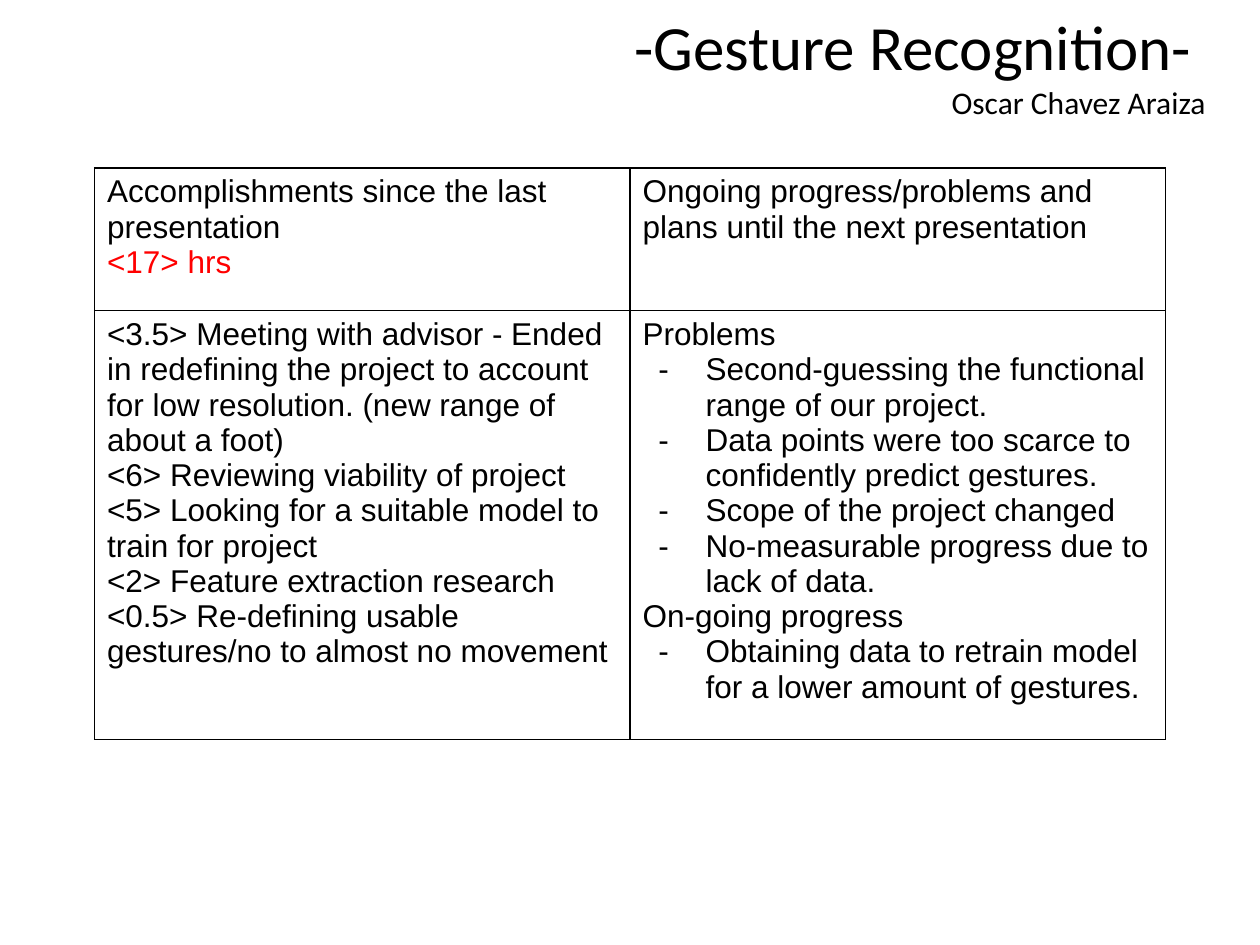
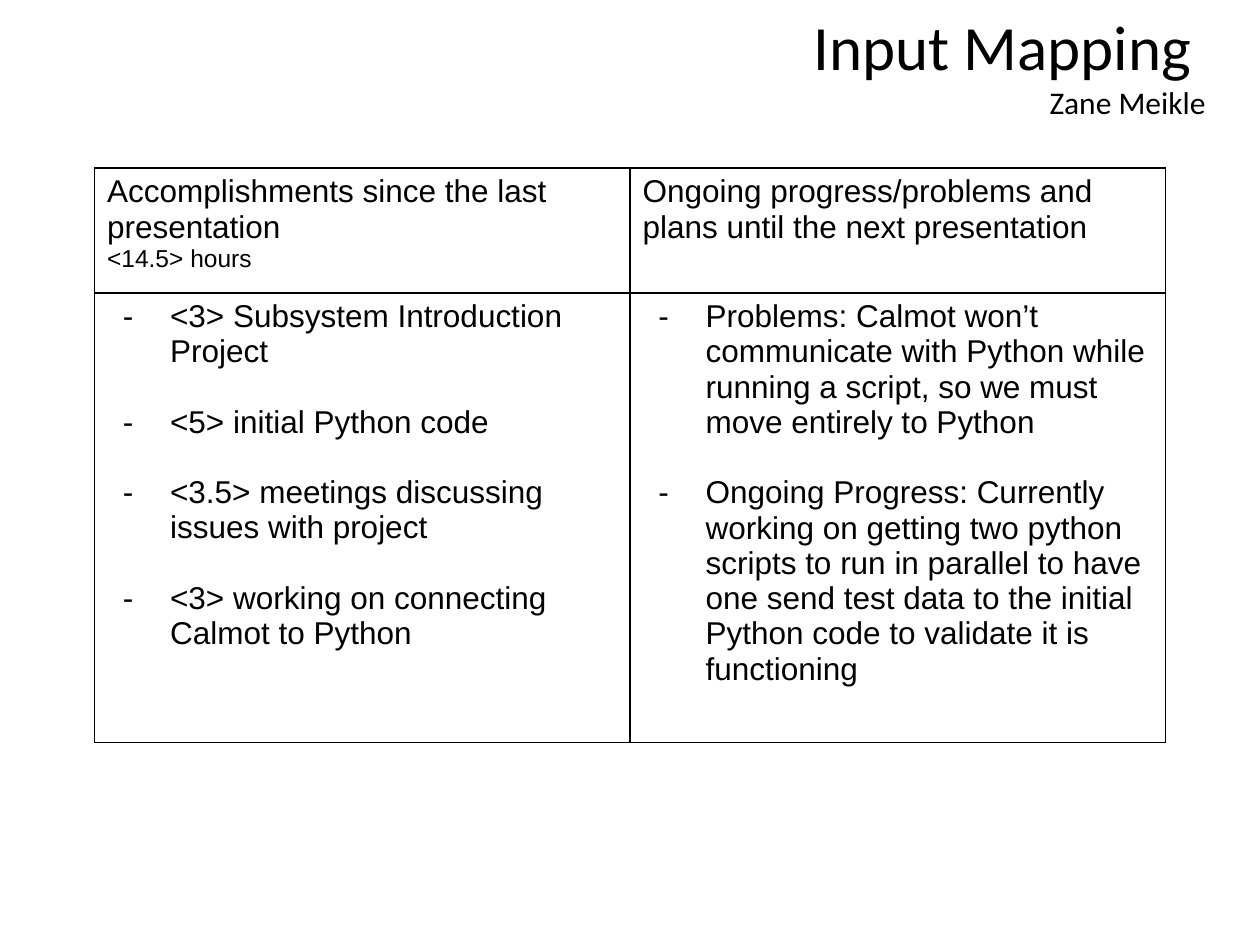
from lxml.etree import SubElement
from pptx import Presentation
from pptx.dml.color import RGBColor
from pptx.enum.text import PP_ALIGN as Align
from pptx.oxml.ns import qn
from pptx.util import Pt

BLACK = RGBColor(0x00, 0x00, 0x00)
RED = RGBColor(0xFF, 0x00, 0x00)

# Text formats
TITLE = {"name": "Calibri", "size": Pt(36)}
AUTHOR = {"name": "Calibri", "size": Pt(18)}
BODY = {"name": "Arial", "size": Pt(18)}
SMALL = {"name": "Arial", "size": Pt(14)}

# Content: a leading "- " marks a bullet
DONE = "Accomplishments since the last presentation"
NEXT = "Ongoing progress/problems and plans until the next presentation"

REPORTS = [
    {
        "title": "-Gesture Recognition- ",
        "author": "Oscar Chavez Araiza",
        "hours": ("<17> hrs", BODY, RED),
        "row_heights": (81.5, 245),
        "bullet_gap": 0,
        "accomplishments": [
            "<3.5> Meeting with advisor - Ended in redefining the project to "
            "account for low resolution. (new range of about a foot)",
            "<6> Reviewing viability of project",
            "<5> Looking for a suitable model to train for project",
            "<2> Feature extraction research",
            "<0.5> Re-defining usable gestures/no to almost no movement",
        ],
        "plans": [
            "Problems",
            "- Second-guessing the functional range of our project.",
            "- Data points were too scarce to confidently predict gestures.",
            "- Scope of the project changed",
            "- No-measurable progress due to lack of data.",
            "On-going progress",
            "- Obtaining data to retrain model for a lower amount of gestures.",
        ],
    },
    {
        "title": "Input Mapping ",
        "author": "Zane Meikle",
        "hours": ("<14.5> hours", SMALL, BLACK),
        "row_heights": (71.3, 257),
        "bullet_gap": 20,
        "accomplishments": [
            "- <3> Subsystem Introduction Project",
            "- <5> initial Python code",
            "- <3.5> meetings discussing issues with project",
            "- <3> working on connecting Calmot to Python",
        ],
        "plans": [
            "- Problems: Calmot won’t communicate with Python while running a "
            "script, so we must move entirely to Python",
            "- Ongoing Progress: Currently working on getting two python scripts "
            "to run in parallel to have one send test data to the initial Python "
            "code to validate it is functioning",
        ],
    },
]

# Layout in points
HEADING_BOX = (174, 0.7, 522, 72.7)
TABLE_LEFT, TABLE_TOP, COLUMN_WIDTH = 54, 96, 306
BULLET_INDENT, BULLET_HANG = 36, 27


def add_bullet(para):
    props = para._p.get_or_add_pPr()
    props.set("marL", str(Pt(BULLET_INDENT)))
    props.set("indent", str(-Pt(BULLET_HANG)))
    SubElement(props, qn("a:buFont")).set("typeface", "Arial")
    SubElement(props, qn("a:buChar")).set("char", "-")


def write(frame, lines, gap=0):
    """Fill a text frame with (text, format, colour) lines."""
    for index, (text, style, color) in enumerate(lines):
        para = frame.paragraphs[0] if index == 0 else frame.add_paragraph()
        if index and gap:
            para.space_before = Pt(gap)
        if text.startswith("- "):
            add_bullet(para)
            text = text[2:]
        span = para.add_run()
        span.text = text
        for key, value in style.items():
            setattr(span.font, key, value)
        span.font.color.rgb = color


def outline(cell):
    props = cell._tc.get_or_add_tcPr()
    for side in ("lnL", "lnR", "lnT", "lnB"):
        line = SubElement(props, qn(f"a:{side}"), w=str(Pt(1)))
        fill = SubElement(line, qn("a:solidFill"))
        SubElement(fill, qn("a:srgbClr")).set("val", str(BLACK))
    cell.fill.background()


def add_heading(page, report):
    box = page.shapes.add_textbox(*map(Pt, HEADING_BOX))
    frame = box.text_frame
    frame.word_wrap = True
    write(frame, [(report["title"], TITLE, BLACK), (report["author"], AUTHOR, BLACK)])
    for para in frame.paragraphs:
        para.alignment = Align.RIGHT


def add_report_table(page, report):
    heights = report["row_heights"]
    table = page.shapes.add_table(
        2, 2, Pt(TABLE_LEFT), Pt(TABLE_TOP), Pt(2 * COLUMN_WIDTH), Pt(sum(heights))
    ).table
    table.first_row = table.horz_banding = False
    for row, height in zip(table.rows, heights):
        row.height = Pt(height)

    headers = [[(DONE, BODY, BLACK), report["hours"]], [(NEXT, BODY, BLACK)]]
    details = [
        [(text, BODY, BLACK) for text in report[key]]
        for key in ("accomplishments", "plans")
    ]
    for row, contents, gap in zip(
        table.rows, (headers, details), (0, report["bullet_gap"])
    ):
        for cell, lines in zip(row.cells, contents):
            outline(cell)
            write(cell.text_frame, lines, gap)


def main():
    deck = Presentation()
    deck.slide_width, deck.slide_height = Pt(720), Pt(540)
    for report in REPORTS:
        page = deck.slides.add_slide(deck.slide_layouts[6])
        add_heading(page, report)
        add_report_table(page, report)
    deck.save("out.pptx")


if __name__ == "__main__":
    main()
